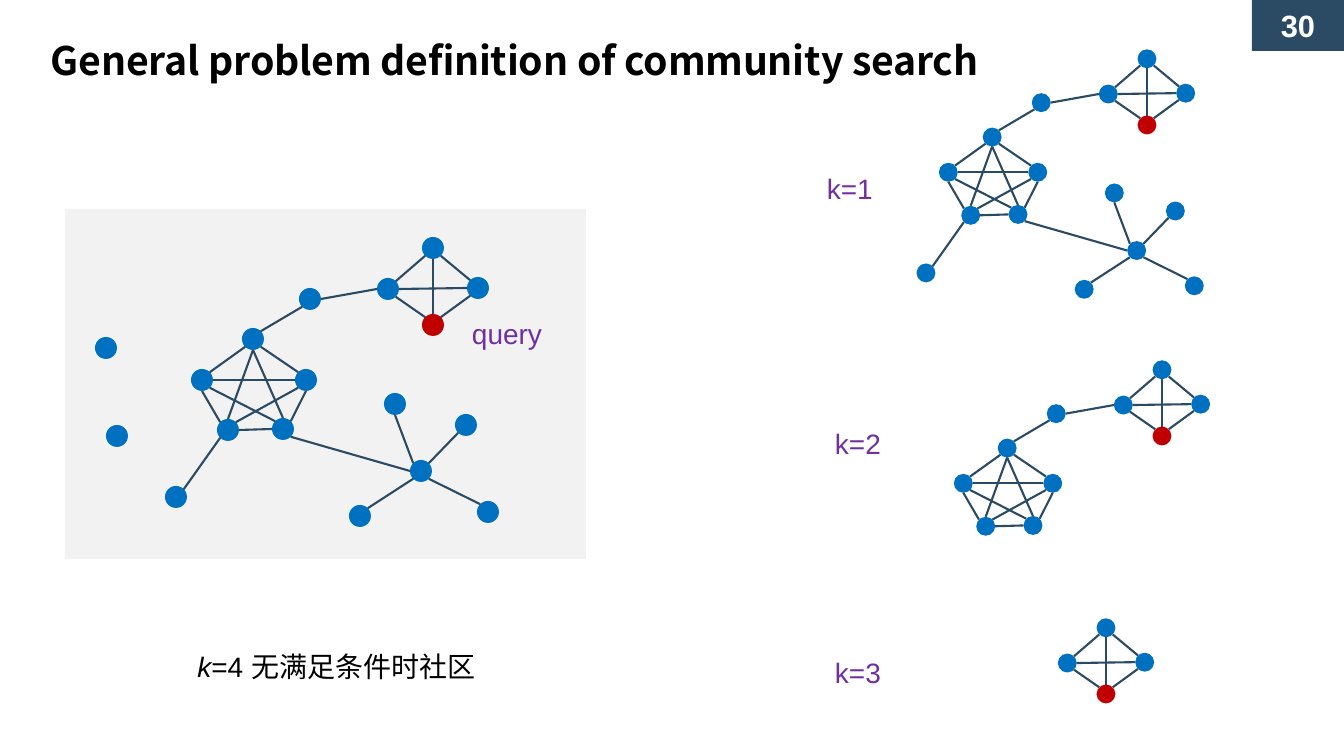
from lxml import etree
from pptx import Presentation
from pptx import util as u
from pptx.dml.color import RGBColor
from pptx.enum import shapes, text
from pptx.oxml.ns import qn

WIDTH, HEIGHT = 1344, 756
SCALE = u.Inches(7.5) / HEIGHT

NAVY = RGBColor(0x2B, 0x4A, 0x63)
BLUE = RGBColor(0x00, 0x70, 0xC0)
RED = RGBColor(0xC0, 0x00, 0x00)
PURPLE = RGBColor(0x70, 0x30, 0xA0)
PANEL_GRAY = RGBColor(0xF2, 0xF2, 0xF2)
WHITE = RGBColor(0xFF, 0xFF, 0xFF)
BLACK = RGBColor(0x00, 0x00, 0x00)

TITLE = "General problem definition of community search"
PAGE_NUMBER = "30"
NO_COMMUNITY = [("k", True), ("=4 无满足条件时社区", False)]

# Node centres in px, measured from the query node.
DIAMOND = {"query": (0, 0), "west": (-45, -36), "north": (0, -77), "east": (45, -37)}
PENTAGON = {"bridge": (-123, -26), "apex": (-180, 14), "left": (-231, 55),
            "low left": (-205, 105), "low right": (-150, 104), "right": (-127, 55)}
STAR = {"hub": (-12, 146), "ray 1": (-38, 79), "ray 2": (33, 100),
        "ray 3": (55, 187), "ray 4": (-73, 191), "tail": (-257, 172)}
ISOLATED = {"loner 1": (-316, 111), "loner 2": (-327, 23)}

# Each edge leaves a node on one compass side and enters another.
EDGES = [
    ("north", "SW", "west", "NE"), ("north", "SE", "east", "NW"),
    ("north", "S", "query", "N"), ("query", "NW", "west", "SE"),
    ("east", "SW", "query", "NE"), ("east", "W", "west", "E"),
    ("west", "W", "bridge", "E"), ("bridge", "SW", "apex", "NE"),
    ("left", "NE", "apex", "SW"), ("right", "NW", "apex", "SE"),
    ("low left", "N", "apex", "S"), ("low right", "N", "apex", "S"),
    ("low right", "NW", "left", "SE"), ("right", "W", "left", "E"),
    ("right", "SW", "low left", "NE"), ("right", "S", "low right", "NE"),
    ("left", "S", "low left", "NW"), ("low left", "E", "low right", "W"),
    ("hub", "W", "low right", "SE"), ("hub", "NW", "ray 1", "S"),
    ("hub", "NE", "ray 2", "SW"), ("hub", "SW", "ray 4", "NE"),
    ("ray 3", "NW", "hub", "SE"), ("tail", "NE", "low left", "SW"),
]

CORE_2 = DIAMOND | PENTAGON
CORE_1 = CORE_2 | STAR
# nodes, query position, zoom
GRAPHS = [
    (CORE_1, (1147, 125), 0.86),
    (CORE_2, (1162, 436), 0.86),
    (DIAMOND, (1106, 694), 0.86),
    (CORE_1 | ISOLATED, (433, 325), 1),
]
LABELS = [("k=1", 817, 167, 92), ("k=2", 825, 422, 92),
          ("k=3", 825, 651, 92), ("query", 462, 312, 114)]
NODE_SIZE = 22


def px(length):
    return u.Emu(round(length * SCALE))


def add_filled(parent, kind, left, top, width, height, color):
    shape = parent.shapes.add_shape(kind, px(left), px(top), px(width), px(height))
    shape.shadow.inherit = False
    shape.fill.solid()
    shape.fill.fore_color.rgb = color
    shape.line.fill.background()
    return shape


def style(para, size, color, font="Arial", bold=False):
    para.font.size = u.Pt(size)
    para.font.name = font
    para.font.bold = bold
    para.font.color.rgb = color


def add_text(page, left, top, width, height):
    """Add a wrapping text box; return its frame and first paragraph."""
    frame = page.shapes.add_textbox(px(left), px(top), px(width), px(height)).text_frame
    frame.word_wrap = True
    return frame, frame.paragraphs[0]


def rim_point(center, side, radius):
    """Point on a node's rim at a compass side."""
    across = ("E" in side) - ("W" in side)
    down = ("S" in side) - ("N" in side)
    reach = radius / (across ** 2 + down ** 2) ** 0.5
    return center[0] + across * reach, center[1] + down * reach


def add_graph(page, nodes, origin, zoom):
    group = page.shapes.add_group_shape()
    size = NODE_SIZE * zoom
    centers = {name: (origin[0] + x * zoom, origin[1] + y * zoom)
               for name, (x, y) in nodes.items()}
    for start, start_side, end, end_side in EDGES:
        if start not in centers or end not in centers:
            continue
        ends = (*rim_point(centers[start], start_side, size / 2),
                *rim_point(centers[end], end_side, size / 2))
        edge = group.shapes.add_connector(shapes.MSO_CONNECTOR.STRAIGHT, *map(px, ends))
        edge.line.color.rgb = NAVY
        edge.line.width = u.Pt(1.5)
        etree.SubElement(edge._element.spPr, qn("a:effectLst"))
    for name, (x, y) in centers.items():
        add_filled(group, shapes.MSO_SHAPE.OVAL, x - size / 2, y - size / 2,
                   size, size, RED if name == "query" else BLUE)


def main():
    deck = Presentation()
    deck.slide_width, deck.slide_height = px(WIDTH), px(HEIGHT)
    page = deck.slides.add_slide(deck.slide_layouts[6])

    corner = add_filled(page, shapes.MSO_SHAPE.RECTANGLE, 1252, 0, 92, 51, NAVY)
    corner.text_frame.vertical_anchor = text.MSO_ANCHOR.MIDDLE
    para = corner.text_frame.paragraphs[0]
    para.text = PAGE_NUMBER
    para.alignment = text.PP_ALIGN.CENTER
    style(para, 22, WHITE, bold=True)

    frame, para = add_text(page, 51, 36, 1015, 48)
    frame.margin_left = frame.margin_right = frame.margin_top = frame.margin_bottom = 0
    span = para.add_run()
    span.text = TITLE
    span.font._element.set("spc", "-10")
    style(para, 28, BLACK, "Noto Sans CJK SC", bold=True)

    add_filled(page, shapes.MSO_SHAPE.RECTANGLE, 65, 209, 521, 350, PANEL_GRAY)
    for nodes, origin, zoom in GRAPHS:
        add_graph(page, nodes, origin, zoom)

    for wording, left, top, width in LABELS:
        frame, para = add_text(page, left, top, width, 44)
        para.text = wording
        style(para, 20, PURPLE)

    frame, para = add_text(page, 110, 645, 453, 44)
    para.alignment = text.PP_ALIGN.CENTER
    for wording, italic in NO_COMMUNITY:
        span = para.add_run()
        span.text = wording
        span.font.italic = italic
        etree.SubElement(span.font._element, qn("a:ea"), typeface="Noto Sans CJK SC")
    style(para, 20, BLACK)

    deck.save("out.pptx")


if __name__ == "__main__":
    main()
